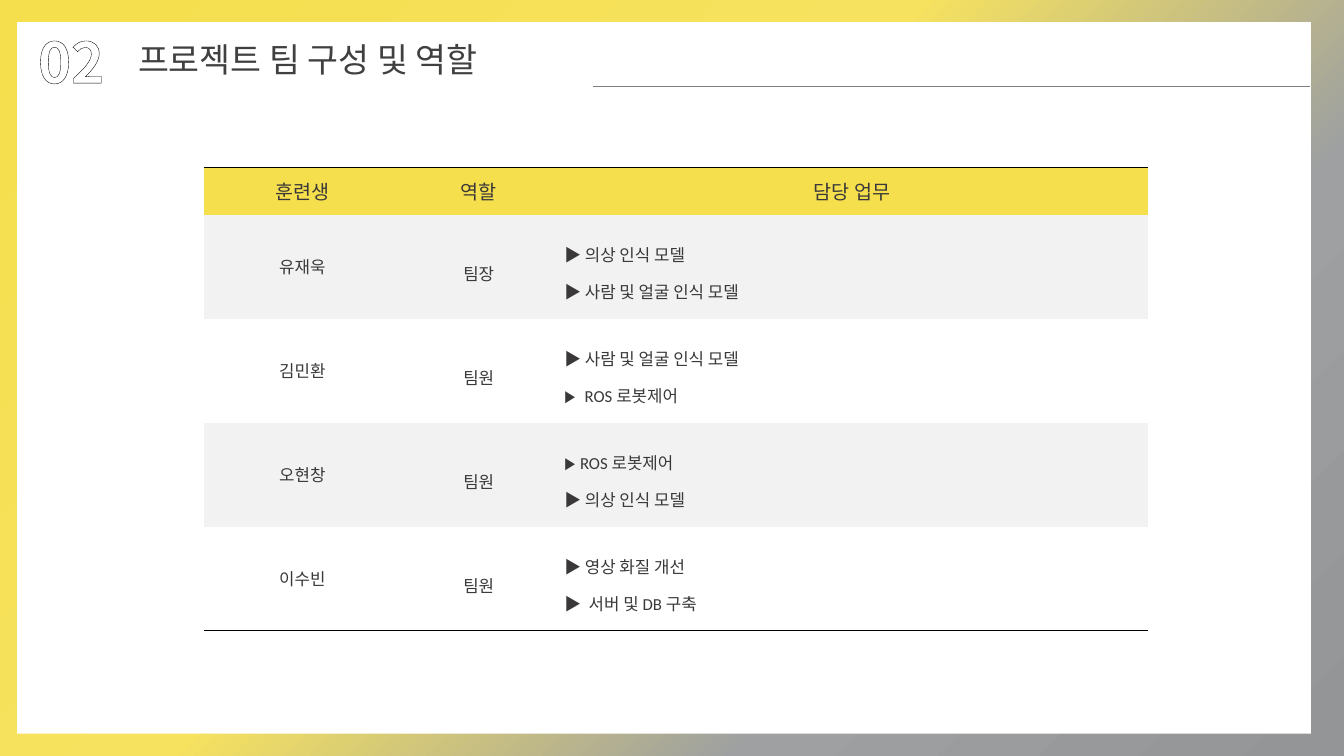
from dataclasses import dataclass

from lxml import etree
from pptx import Presentation
from pptx.dml.color import RGBColor
from pptx.enum.dml import MSO_PATTERN
from pptx.enum.shapes import MSO_CONNECTOR, MSO_SHAPE
from pptx.enum.text import MSO_ANCHOR, PP_ALIGN
from pptx.oxml.ns import qn
from pptx.util import Cm, Pt

LEFT, CENTER = PP_ALIGN.LEFT, PP_ALIGN.CENTER
MIDDLE = MSO_ANCHOR.MIDDLE
RECT, STRAIGHT = MSO_SHAPE.RECTANGLE, MSO_CONNECTOR.STRAIGHT
HATCH = MSO_PATTERN.DARK_UPWARD_DIAGONAL
NO_GRID = "{2D5ABB26-0587-4C30-8999-92F81FD0307C}"

NUMBER = "02"
TITLE = "프로젝트 팀 구성 및 역할"
HEADS = ["훈련생", "역할", "담당 업무"]
TEAM = [
    ("유재욱", "팀장", [("▶ ", "의상 인식 모델"), ("▶ ", "사람 및 얼굴 인식 모델")]),
    ("김민환", "팀원", [("▶ ", "사람 및 얼굴 인식 모델"), ("▶  ", "ROS 로봇제어")]),
    ("오현창", "팀원", [("▶ ", "ROS 로봇제어"), ("▶ ", "의상 인식 모델")]),
    ("이수빈", "팀원", [("▶ ", "영상 화질 개선"), ("▶  ", "서버 및 DB 구축")]),
]
STOPS = [(0, "F5DF4D", 100), (44, "F6E25F", 70), (71, "9EA0A1", 70), (100, "939597", 100)]
COLS = [4.98, 3.91, 14.91]
HEAD_H, ROW_H = 1.19, 2.62


@dataclass(frozen=True)
class Theme:
    white: str = "FFFFFF"
    black: str = "000000"
    yellow: str = "F5DF4D"
    band: str = "F2F2F2"
    rule: str = "808080"
    title: str = "404040"
    body: str = "3A3838"
    hatch: str = "3B3838"
    sans: str = "Noto Sans CJK KR"
    latin: str = "Calibri"
    mark: str = "Arial"
    big: int = 40
    large: int = 24
    head: int = 14
    small: int = 12


T = Theme()


def rgb(code):
    return RGBColor.from_string(code)


def sub(parent, tag, **attrs):
    return etree.SubElement(parent, qn(tag), attrs)


def stroke(parent, tag, color, width):
    """Add a solid line element to parent."""
    line = sub(parent, tag, w=str(Pt(width)))
    sub(sub(line, "a:solidFill"), "a:srgbClr", val=color)
    return line


def write(para, text, size, color=T.body, font=T.latin, bold=False, align=LEFT, lead=None):
    """Append one run to a paragraph and return it."""
    para.alignment = align
    if lead:
        para.line_spacing = lead
    run = para.add_run()
    run.text = text
    face = run.font
    face.size, face.bold, face.name = Pt(size), bold, font
    face.color.rgb = rgb(color)
    sub(face._element, "a:ea", typeface=T.sans)
    return run


def paint(slide):
    """Fill the background with the diagonal gradient."""
    fill = slide.background.fill
    fill.gradient()
    fill.gradient_angle = 315
    stops = next(slide.element.iter(qn("a:gsLst")))
    for stop in list(stops):
        stops.remove(stop)
    for place, color, alpha in STOPS:
        stop = sub(stops, "a:gs", pos=str(place * 1000))
        tint = sub(stop, "a:srgbClr", val=color)
        if alpha < 100:
            sub(tint, "a:alpha", val=str(alpha * 1000))


def add_text(slide, box, text, wrap, **look):
    frame = slide.shapes.add_textbox(*map(Cm, box)).text_frame
    frame.word_wrap = wrap
    return write(frame.paragraphs[0], text, **look)


def add_head(slide):
    panel = slide.shapes.add_shape(RECT, Cm(0.43), Cm(0.56), Cm(32.61), Cm(17.93))
    panel.shadow.inherit = False
    panel.fill.solid()
    panel.fill.fore_color.rgb = rgb(T.white)
    panel.line.fill.background()

    run = add_text(slide, (0.71, 0.56, 3.23, 1.96), NUMBER, True,
                   size=T.big, font=T.sans, bold=True)
    fill = run.font.fill
    fill.patterned()
    fill.pattern = HATCH
    fill.fore_color.rgb, fill.back_color.rgb = rgb(T.hatch), rgb(T.white)
    props = run.font._element
    props.insert(0, stroke(props, "a:ln", T.black, 1.25))

    rule = slide.shapes.add_connector(STRAIGHT, Cm(14.94), Cm(2.18), Cm(33.02), Cm(2.18))
    rule.line.color.rgb, rule.line.width = rgb(T.rule), Pt(1)
    sub(rule.element.spPr, "a:effectLst")

    add_text(slide, (3.23, 0.86, 10.77, 1.27), TITLE, False,
             size=T.large, color=T.title, font=T.sans)


def dress(cell, fill, edge=None):
    """Set the margins, fill and, if named, one black edge of a cell."""
    cell.vertical_anchor = MIDDLE
    cell.margin_left = cell.margin_right = Cm(0.2)
    cell.margin_top = cell.margin_bottom = Cm(0.1)
    props = cell._tc.get_or_add_tcPr()
    if edge:
        stroke(props, edge, T.black, 0.75)
    cell.fill.solid()
    cell.fill.fore_color.rgb = rgb(fill)


def add_team(slide):
    high = HEAD_H + ROW_H * len(TEAM)
    frame = slide.shapes.add_table(len(TEAM) + 1, len(COLS), Cm(5.13), Cm(4.22),
                                   Cm(sum(COLS)), Cm(high))
    table = frame.table
    table.first_row = table.horz_banding = False
    next(frame.element.iter(qn("a:tableStyleId"))).text = NO_GRID
    for col, wide in zip(table.columns, COLS):
        col.width = Cm(wide)
    for num, row in enumerate(table.rows):
        row.height = Cm(ROW_H if num else HEAD_H)

    for col, head in enumerate(HEADS):
        cell = table.cell(0, col)
        dress(cell, T.yellow, "a:lnT")
        write(cell.text_frame.paragraphs[0], head, T.head, align=CENTER)

    for num, (name, role, tasks) in enumerate(TEAM, 1):
        cells = [table.cell(num, col) for col in range(len(COLS))]
        for cell in cells:
            dress(cell, T.band if num % 2 else T.white,
                  "a:lnB" if num == len(TEAM) else None)
        first, second, third = (cell.text_frame for cell in cells)
        write(first.paragraphs[0], name, T.small, align=CENTER)
        write(second.paragraphs[0], role, T.small, align=CENTER, lead=1.5)
        for pos, (mark, task) in enumerate(tasks):
            para = third.add_paragraph() if pos else third.paragraphs[0]
            write(para, mark, T.small, font=T.mark, bold=True, lead=1.5)
            write(para, task, T.small, lead=1.5)


def main():
    deck = Presentation()
    deck.slide_width, deck.slide_height = Cm(33.87), Cm(19.05)
    slide = deck.slides.add_slide(deck.slide_layouts[6])
    paint(slide)
    add_head(slide)
    add_team(slide)
    deck.save("out.pptx")


if __name__ == "__main__":
    main()
